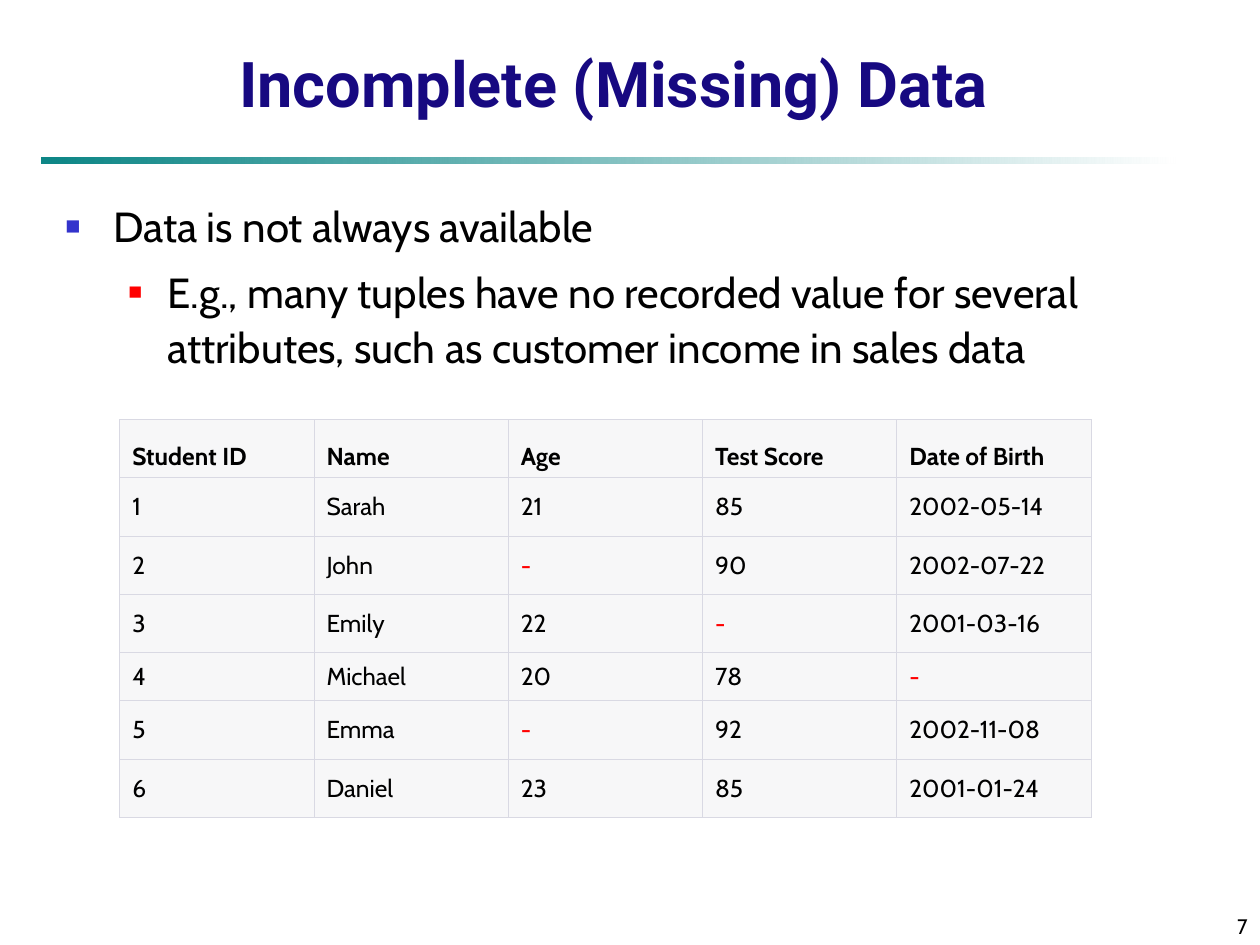
from dataclasses import dataclass

from lxml import etree
from pptx import Presentation
from pptx import util as u
from pptx.dml.color import RGBColor
from pptx.enum import shapes, text
from pptx.oxml import ns


@dataclass(frozen=True)
class Theme:
    head_font: str = "Roboto"
    body_font: str = "Cabin"
    navy: str = "170981"
    black: str = "000000"
    red: str = "FF0000"
    blue: str = "3333CC"
    teal: str = "008080"
    white: str = "FFFFFF"
    cell: str = "F7F7F8"
    border: str = "D9D9E3"
    title_size: int = 36
    body_size: int = 24
    table_size: int = 14
    number_size: int = 12


THEME = Theme()
MISSING = "-"
POINTS = [
    # text, bullet colour, bullet size in %, text indent, hanging indent
    ("Data is not always available", THEME.blue, 60, 0.38, 0.38),
    ("E.g., many tuples have no recorded value for several attributes, "
     "such as customer income in sales data", THEME.red, 55, 0.81, 0.31),
]
STUDENTS = [
    ("Student ID", "Name", "Age", "Test Score", "Date of Birth"),
    ("1", "Sarah", "21", "85", "2002-05-14"),
    ("2", "John", MISSING, "90", "2002-07-22"),
    ("3", "Emily", "22", MISSING, "2001-03-16"),
    ("4", "Michael", "20", "78", MISSING),
    ("5", "Emma", MISSING, "92", "2002-11-08"),
    ("6", "Daniel", "23", "85", "2001-01-24"),
]
ROW_HEIGHTS = [0.46, 0.47, 0.46, 0.46, 0.38, 0.47, 0.46]


def sub(parent, tag, **attrs):
    return etree.SubElement(parent, ns.qn(tag), attrs)


def box(left, top, width, height):
    return tuple(u.Inches(v) for v in (left, top, width, height))


def add_run(p, content, size, color=THEME.black, font=THEME.body_font, bold=False):
    r = p.add_run()
    r.text = content
    r.font.name, r.font.size, r.font.bold = font, u.Pt(size), bold
    r.font.color.rgb = RGBColor.from_string(color)


def add_title(s, content):
    sp = s.shapes.title
    sp.left, sp.top, sp.width, sp.height = box(0.95, 0.33, 7.84, 0.67)
    tf = sp.text_frame
    tf.auto_size = text.MSO_AUTO_SIZE.NONE
    tf.vertical_anchor = text.MSO_ANCHOR.BOTTOM
    p = tf.paragraphs[0]
    p.alignment = text.PP_ALIGN.CENTER
    add_run(p, content, THEME.title_size, THEME.navy, THEME.head_font, True)


def add_rule(s):
    """Bar under the title that fades from teal to white."""
    sp = s.shapes.add_shape(shapes.MSO_SHAPE.RECTANGLE, *box(0.33, 1.25, 9, 0.05))
    sp.shadow.inherit = False
    sp.line.fill.background()
    sp.fill.gradient()
    sp.fill.gradient_angle = 0
    for stop, color in zip(sp.fill.gradient_stops, (THEME.teal, THEME.white)):
        stop.color.rgb = RGBColor.from_string(color)
    for clr in sp._element.spPr.iter(ns.qn("a:srgbClr")):
        if clr.get("val") == THEME.teal:
            sub(clr, "a:alpha", val="95000")


def add_text_frame(s, *at):
    tf = s.shapes.add_textbox(*box(*at)).text_frame
    tf.word_wrap = True
    return tf


def set_bullet(p, color, percent, indent, hanging):
    pPr = p._p.get_or_add_pPr()
    pPr.set("marL", str(u.Inches(indent)))
    pPr.set("indent", str(-u.Inches(hanging)))
    sub(sub(pPr, "a:buClr"), "a:srgbClr", val=color)
    sub(pPr, "a:buSzPct", val=str(percent * 1000))
    sub(pPr, "a:buFont", typeface="Arial")
    sub(pPr, "a:buChar", char="■")


def add_points(s, points):
    tf = add_text_frame(s, 0.42, 1.5, 9.08, 5.58)
    for level, (content, *bullet) in enumerate(points):
        p = tf.add_paragraph() if level else tf.paragraphs[0]
        p.level = level
        p.line_spacing = 1.1
        p.space_before = u.Pt(6)
        set_bullet(p, *bullet)
        add_run(p, content, THEME.body_size)


def set_borders(cell, top, bottom):
    tcPr = cell._tc.get_or_add_tcPr()
    widths = {"a:lnL": 0.34, "a:lnR": 0.34, "a:lnT": top, "a:lnB": bottom}
    for i, (tag, width) in enumerate(widths.items()):
        ln = sub(tcPr, tag, w=str(u.Pt(width)))
        sub(sub(ln, "a:solidFill"), "a:srgbClr", val=THEME.border)
        tcPr.insert(i, ln)


def add_table(s, rows, heights):
    last = len(rows) - 1
    table = s.shapes.add_table(len(rows), len(rows[0]),
                               *box(0.95, 3.33, 7.71, sum(heights))).table
    table.first_row = table.horz_banding = False
    for i, (row, height) in enumerate(zip(rows, heights)):
        table.rows[i].height = u.Inches(height)
        header = i == 0
        for j, value in enumerate(row):
            cell = table.cell(i, j)
            cell.vertical_anchor = text.MSO_ANCHOR.BOTTOM if header else text.MSO_ANCHOR.MIDDLE
            cell.fill.solid()
            cell.fill.fore_color.rgb = RGBColor.from_string(THEME.cell)
            set_borders(cell, 0.34 if header else 0.45, 0.34 if i == last else 0.45)
            color = THEME.red if value == MISSING else THEME.black
            add_run(cell.text_frame.paragraphs[0], value, THEME.table_size, color, bold=header)


def add_slide_number(s, number):
    tf = add_text_frame(s, 7.92, 7.08, 2.08, 0.42)
    tf.vertical_anchor = text.MSO_ANCHOR.BOTTOM
    p = tf.paragraphs[0]
    p.alignment = text.PP_ALIGN.RIGHT
    add_run(p, number, THEME.number_size)


def main():
    prs = Presentation()
    prs.slide_width, prs.slide_height = u.Inches(10), u.Inches(7.5)
    s = prs.slides.add_slide(prs.slide_layouts.get_by_name("Title Only"))
    add_rule(s)
    add_slide_number(s, "7")
    add_title(s, "Incomplete (Missing) Data")
    add_points(s, POINTS)
    add_table(s, STUDENTS, ROW_HEIGHTS)
    prs.save("out.pptx")


if __name__ == "__main__":
    main()
